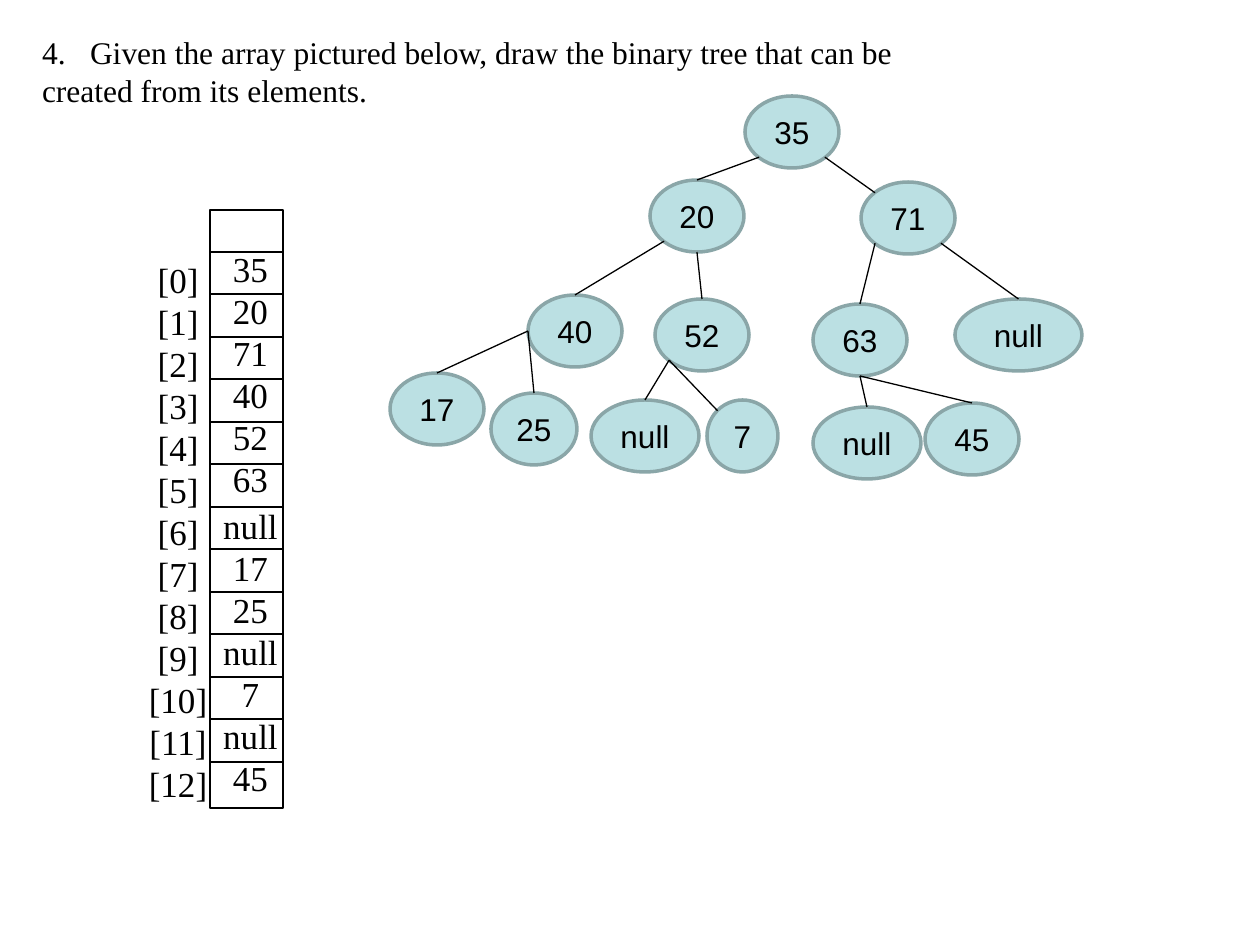
from pptx import Presentation
from pptx.dml.color import RGBColor
from pptx.enum.shapes import MSO_CONNECTOR as Link, MSO_SHAPE as Shape
from pptx.enum.text import MSO_ANCHOR as Anchor, PP_ALIGN as Align
from pptx.oxml.ns import qn
from pptx.util import Pt
from lxml.etree import SubElement


def px(n):
    return round(n * 914400 / 126)


def color(code):
    return RGBColor.from_string(code)


class Page:
    serif, sans = "Times New Roman", "Arial"
    ink, aqua, edge = "000000", "BBE0E3", "8AA6A8"
    thin, thick = 0.75, 2

    def __init__(self, slide):
        self.slide = slide

    def frame(self, shape):
        box = shape.text_frame
        box.margin_left = box.margin_right = 0
        box.word_wrap = True
        return box

    def run(self, para, text, font, size):
        run = para.add_run()
        run.text = text
        run.font.name = font
        run.font.size = Pt(size)
        run.font.color.rgb = color(self.ink)

    def text(self, x, y, w, h, lines, size, align):
        box = self.frame(self.slide.shapes.add_textbox(px(x), px(y), px(w), px(h)))
        for i, line in enumerate(lines):
            para = box.add_paragraph() if i else box.paragraphs[0]
            para.alignment = align
            para.line_spacing = Pt(size * 1.2)
            self.run(para, line, self.serif, size)
        return box.paragraphs

    def number(self, para, start, indent):
        props = para._p.get_or_add_pPr()
        props.set("marL", str(px(indent)))
        props.set("indent", str(-px(indent)))
        SubElement(props, qn("a:buFont"), typeface=self.serif)
        SubElement(props, qn("a:buAutoNum"), type="arabicPeriod", startAt=str(start))

    def shape(self, kind, x, y, w, h, fill, line, width):
        item = self.slide.shapes.add_shape(kind, px(x), px(y), px(w), px(h))
        item.shadow.inherit = False
        if fill:
            item.fill.solid()
            item.fill.fore_color.rgb = color(fill)
        else:
            item.fill.background()
        item.line.color.rgb = color(line)
        item.line.width = Pt(width)
        return item

    def rect(self, x, y, w, h):
        self.shape(Shape.RECTANGLE, x, y, w, h, None, self.ink, self.thin)

    def node(self, x, y, w, h, label):
        item = self.shape(Shape.OVAL, x, y, w, h, self.aqua, self.edge, self.thick)
        box = self.frame(item)
        box.vertical_anchor = Anchor.MIDDLE
        para = box.paragraphs[0]
        para.alignment = Align.CENTER
        self.run(para, label, self.sans, 18)

    def line(self, start, end):
        ends = [px(n) for n in (*start, *end)]
        item = self.slide.shapes.add_connector(Link.STRAIGHT, *ends)
        item.line.color.rgb = color(self.ink)
        item.line.width = Pt(self.thin)
        SubElement(item._element.spPr, qn("a:effectLst"))


VALUES = ["35", "20", "71", "40", "52", "63", "null",
          "17", "25", "null", "7", "null", "45"]
HIGH = 72
PLACES = [(745, 96, 94), (650, 180, 94), (861, 182, 94), (528, 295, 94),
          (655, 299, 94), (813, 304, 94), (955, 299, 127), (390, 373, 94),
          (491, 393, 86), (591, 400, 108), (707, 400, 71), (813, 407, 108),
          (925, 403, 94)]
SITES = {"top": (0.5, 0), "left": (0, 0.5), "base": (0.5, 1),
         "nw": (0.15, 0.15), "sw": (0.15, 0.85), "se": (0.85, 0.85)}
JOINS = [("sw", "top"), ("se", "nw"), ("sw", "top"), ("base", "top"),
         ("sw", "top"), ("se", "top"), ("left", "top"), ("left", "top"),
         ("sw", "top"), ("sw", "nw"), ("base", "top"), ("base", "top")]


def site(index, name):
    x, y, w = PLACES[index]
    across, down = SITES[name]
    return x + w * across, y + HIGH * down


def main():
    deck = Presentation()
    deck.slide_width, deck.slide_height = px(1260), px(945)
    page = Page(deck.slides.add_slide(deck.slide_layouts[6]))

    page.rect(210, 210, 73, 598)
    labels = [f"[{i}]" for i in range(len(VALUES))]
    page.text(136, 252, 84, 564, labels, 20, Align.CENTER)
    for i in range(len(VALUES)):
        y = 252 + 85 * i // 2
        page.line((210, y), (283, y))

    task = page.text(42, 27, 860, 89, [
        "Given the array pictured below, draw the binary tree that can be",
        "created from its elements."], 18, Align.LEFT)
    page.number(task[0], 4, 48)

    cells = page.text(210, 241, 81, 564, VALUES, 20, Align.CENTER)
    cells[VALUES.index("null")].space_before = Pt(3)

    for (x, y, w), value in zip(PLACES, VALUES):
        page.node(x, y, w, HIGH, value)
    for child, (start, end) in enumerate(JOINS, 1):
        page.line(site((child - 1) // 2, start), site(child, end))

    deck.save("out.pptx")


if __name__ == "__main__":
    main()
